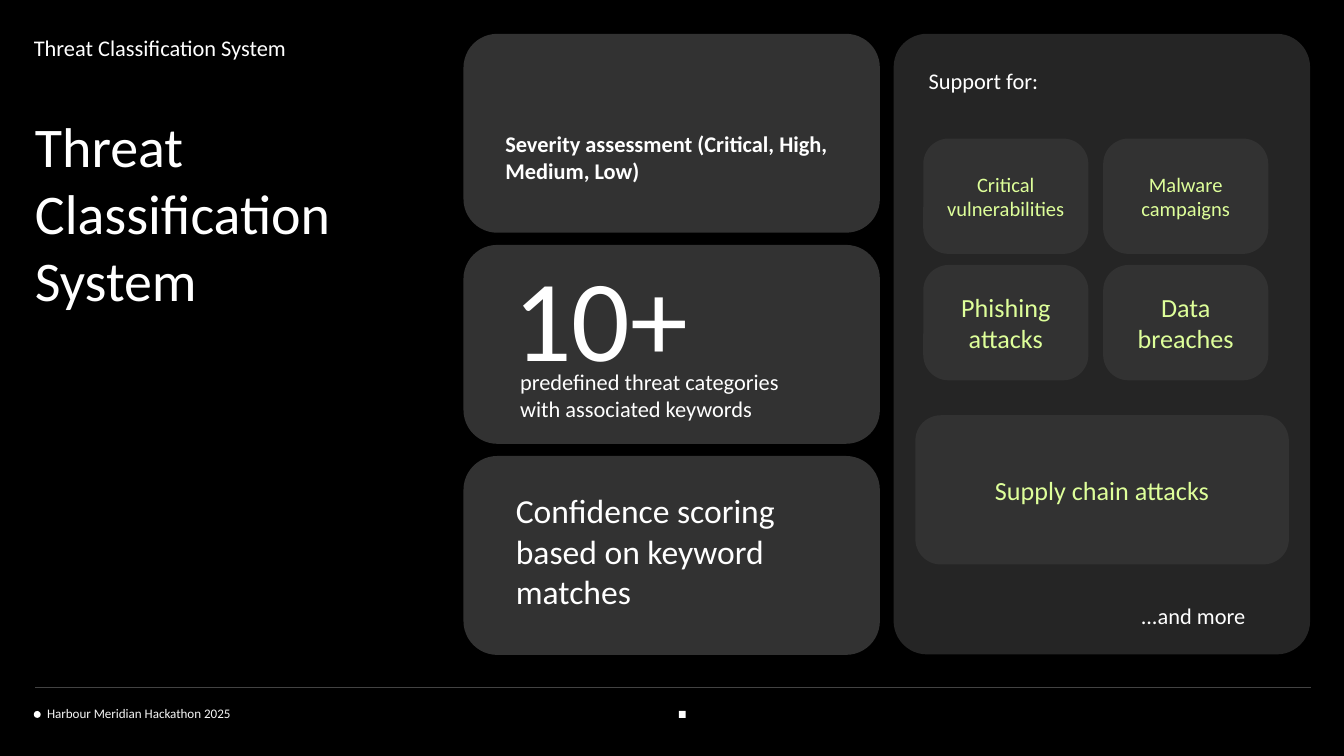
from pptx import Presentation
from pptx.dml.color import RGBColor
from pptx.enum.shapes import MSO_CONNECTOR as Link, MSO_SHAPE as Kind
from pptx.enum.text import MSO_ANCHOR as Anchor, PP_ALIGN as Align
from pptx.oxml.ns import qn
from pptx.util import Cm, Pt
from lxml.etree import SubElement

HUES = {"back": "000000", "panel": "252525", "card": "323232", "rule": "434343",
        "text": "FFFFFF", "foot": "F5F5F5", "lime": "DEFF9A"}
HUES = {name: RGBColor.from_string(code) for name, code in HUES.items()}

deck = Presentation()
deck.slide_width, deck.slide_height = Cm(25.4), Cm(14.29)
slide = deck.slides.add_slide(deck.slide_layouts[5])
slide.background.fill.solid()
slide.background.fill.fore_color.rgb = HUES["back"]


def add_form(kind, x, y, w, h, hue, bend=None):
    form = slide.shapes.add_shape(kind, Cm(x), Cm(y), Cm(w), Cm(h))
    form.shadow.inherit = False
    form.fill.solid()
    form.fill.fore_color.rgb = HUES[hue]
    form.line.fill.background()
    if bend:
        form.adjustments[0] = bend
    return form


def set_text(form, text, size, hue="text", align=Align.LEFT, anchor=Anchor.TOP,
             pads=(0, 0, 0.25, 0.25), bold=False):
    frame = form.text_frame
    frame.text = text
    frame.word_wrap = True
    frame.vertical_anchor = anchor
    (frame.margin_left, frame.margin_top,
     frame.margin_right, frame.margin_bottom) = [Cm(pad) for pad in pads]
    par = frame.paragraphs[0]
    par.alignment = align
    par.line_spacing = 1.0
    par.font.name, par.font.size, par.font.bold = "Calibri", Pt(size), bold
    par.font.color.rgb = HUES[hue]


# Footer rule and marks
rule = slide.shapes.add_connector(Link.STRAIGHT, Cm(0.66), Cm(13), Cm(24.77), Cm(13))
rule.line.color.rgb = HUES["rule"]
rule.line.width = Pt(0.75)
SubElement(rule._element.spPr, qn("a:effectLst"))
add_form(Kind.OVAL, 0.64, 13.44, 0.13, 0.13, "text")
add_form(Kind.RECTANGLE, 12.83, 13.44, 0.13, 0.13, "text")

# Right panel and middle cards
add_form(Kind.ROUNDED_RECTANGLE, 16.89, 0.64, 7.87, 11.73, "panel", 0.08)
for row in range(3):
    add_form(Kind.ROUNDED_RECTANGLE, 8.76, 0.64 + 3.99 * row, 7.87, 3.76, "card", 0.17)

# Threat tiles: a grid of two by two, then a wide one
tiles = [(17.45 + 3.4 * col, 2.62 + 2.39 * row, 3.12, 2.18, 0.22, size, text)
         for row, (size, names) in enumerate([
             (11, ["Critical vulnerabilities", "Malware campaigns"]),
             (14, ["Phishing attacks", "Data breaches"])])
         for col, text in enumerate(names)]
tiles.append((17.3, 7.85, 7.06, 2.82, 0.17, 14, "Supply chain attacks"))
for x, y, w, h, bend, size, text in tiles:
    tile = add_form(Kind.ROUNDED_RECTANGLE, x, y, w, h, "card", bend)
    set_text(tile, text, size, "lime", Align.CENTER, Anchor.MIDDLE, (0.25,) * 4)

# Title
title = slide.shapes.title
title.left, title.top, title.width, title.height = Cm(0.66), Cm(2.1), Cm(7.87), Cm(7.19)
set_text(title, "Threat Classification System", 30)

# Labels and card texts
labels = [
    (0.64, 0.64, 7.87, 0.91, 12, "Threat Classification System", {}),
    (9.55, 2.46, 6.38, 1.4, 12, "Severity assessment (Critical, High, Medium, Low)",
     {"bold": True}),
    (9.7, 4.65, 5.33, 2.64, 62, "10+", {}),
    (9.83, 6.96, 5.89, 1.3, 12, "predefined threat categories with associated keywords", {}),
    (9.75, 9.27, 5.89, 2.5, 18, "Confidence scoring based on keyword matches", {}),
    (17.55, 1.27, 6.38, 0.91, 12, "Support for:", {}),
    (21.56, 11.38, 3.2, 0.91, 12, "...and more", {}),
    (0.89, 12.98, 7.49, 0.66, 7, "Harbour Meridian Hackathon 2025",
     {"hue": "foot", "anchor": Anchor.BOTTOM, "pads": (0,) * 4}),
]
for x, y, w, h, size, text, style in labels:
    box = slide.shapes.add_textbox(Cm(x), Cm(y), Cm(w), Cm(h))
    set_text(box, text, size, **style)

deck.save("out.pptx")
